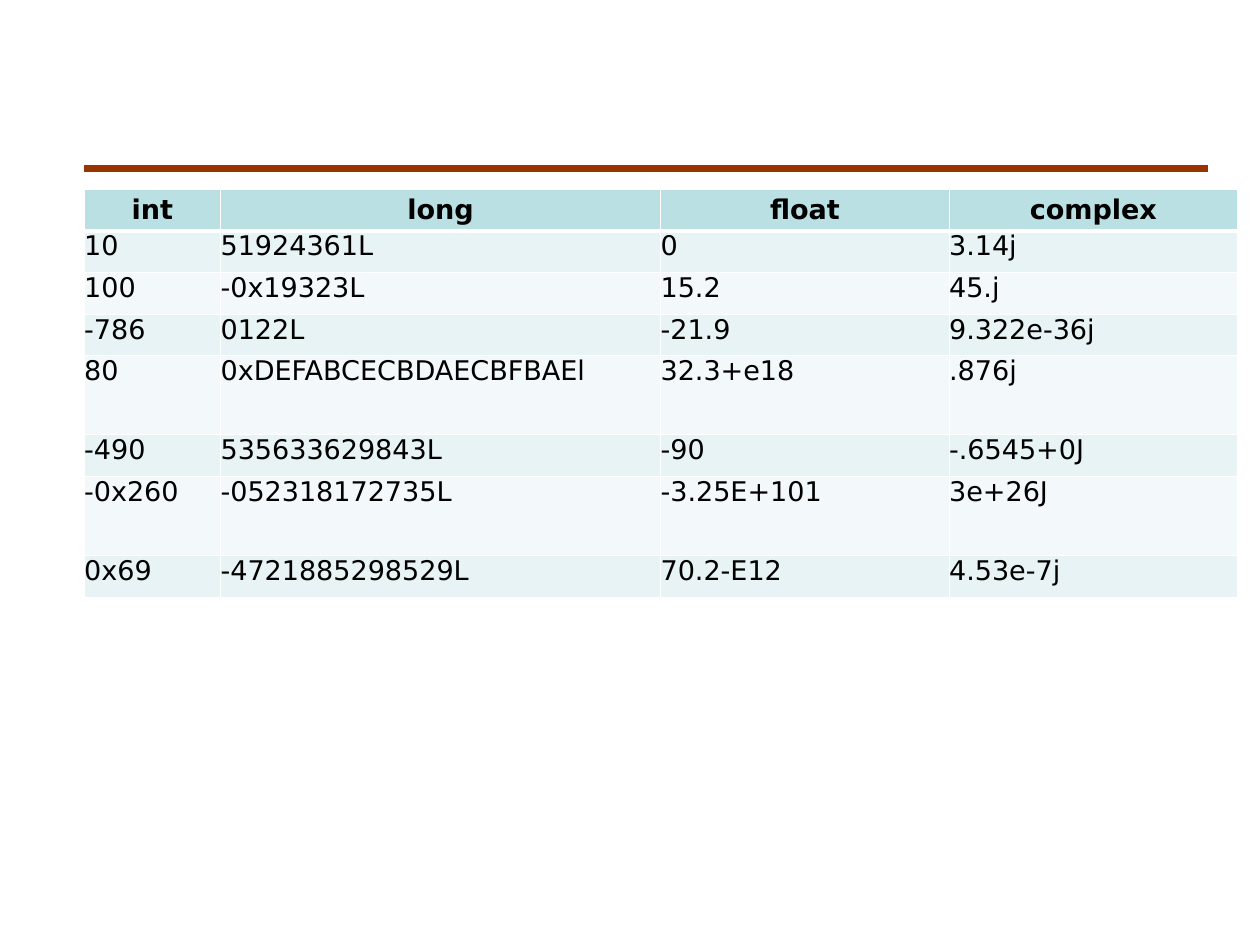
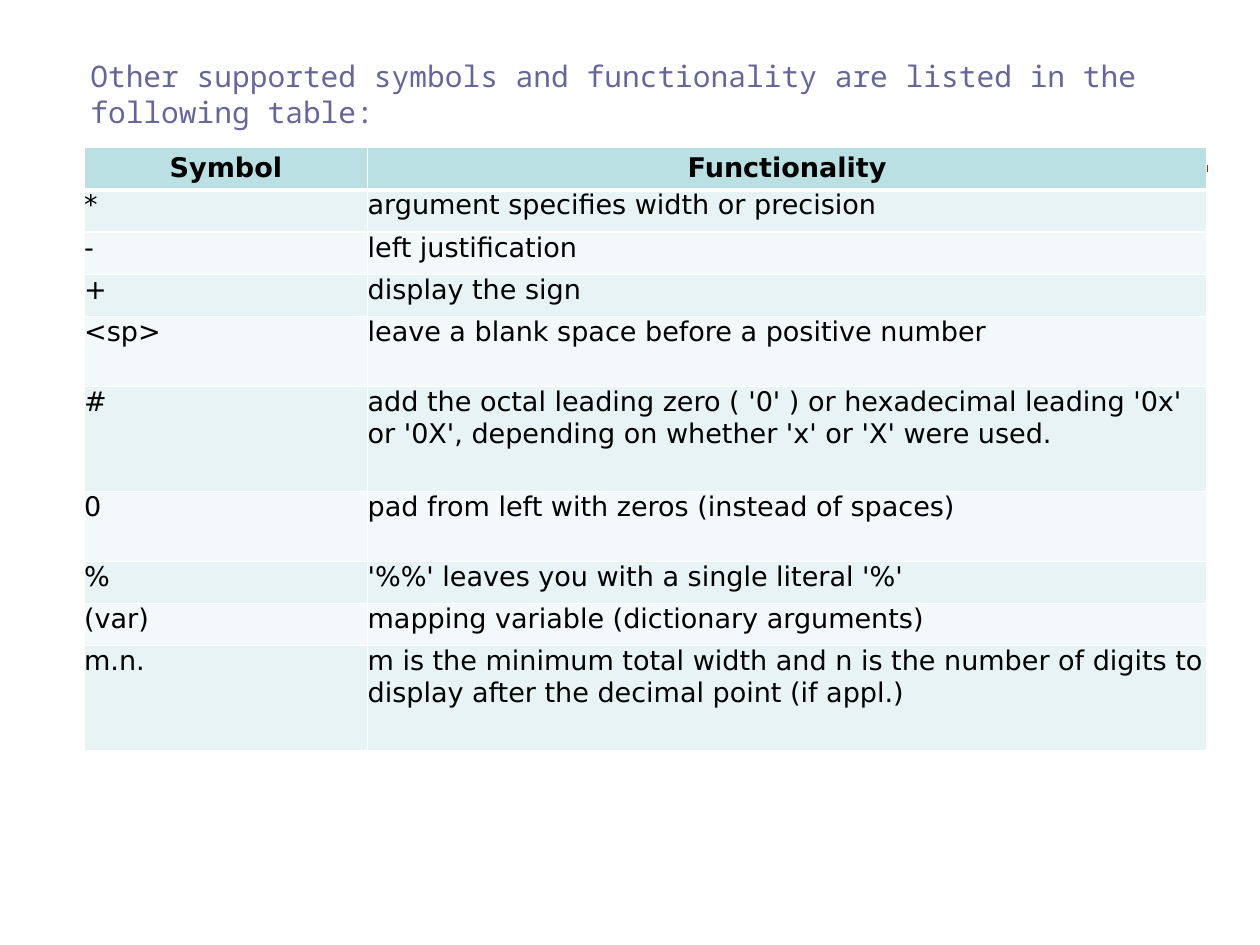
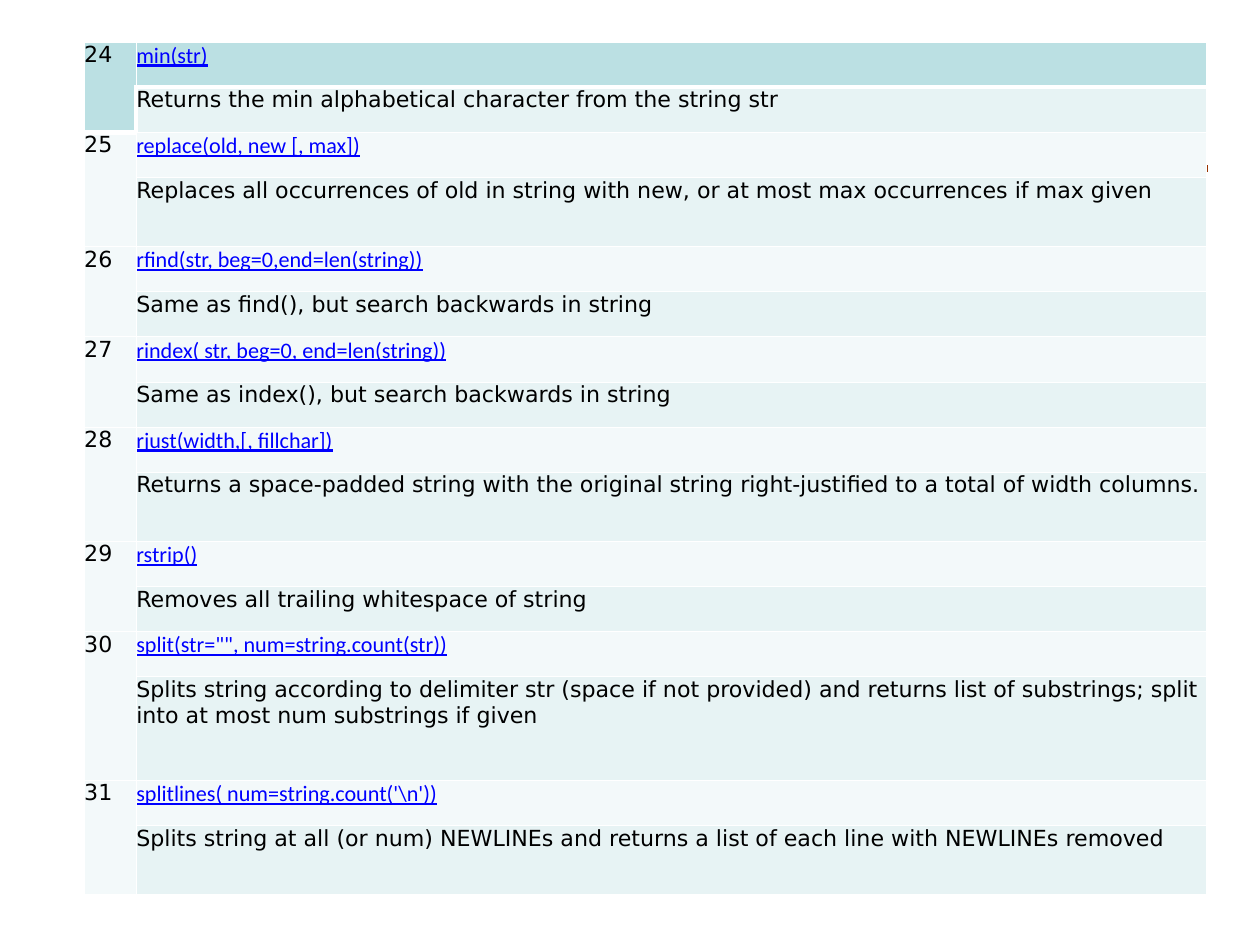
import dataclasses

import lxml.etree
import pptx
import pptx.dml.color
import pptx.enum.shapes
import pptx.enum.text
import pptx.oxml
import pptx.oxml.ns
import pptx.util

Pt = pptx.util.Pt
RGB = pptx.dml.color.RGBColor.from_string
qn = pptx.oxml.ns.qn


@dataclasses.dataclass(frozen=True)
class Theme:
    """Colours, fonts and sizes shared by the slides."""
    rule: str = "993300"
    title: str = "666699"
    text: str = "000000"
    link: str = "0000FF"
    edge: str = "FFFFFF"
    head: str = "BBE0E3"
    bands: tuple = ("F3F9FA", "E7F3F4")
    sans: str = "DejaVu Sans"
    mono: str = "Noto Sans Mono"
    link_font: str = "Calibri"
    title_size: int = 24
    cell_size: int = 22
    list_size: int = 18
    thin: int = 1
    thick: int = 4
    left: float = 68.4
    width: float = 913


theme = Theme()


def set_edges(cell, **wide):
    """Draw the four cell borders; thin unless a width is given for a side."""
    props = cell._tc.get_or_add_tcPr()
    for side in "LRTB":
        line = lxml.etree.SubElement(props, qn(f"a:ln{side}"))
        line.set("w", str(Pt(wide.get(side, theme.thin))))
        fill = lxml.etree.SubElement(line, qn("a:solidFill"))
        lxml.etree.SubElement(fill, qn("a:srgbClr")).set("val", theme.edge)


def add_grid(slide, top, cols, highs, data, size, listed=False):
    """Add a banded table; None in the data joins a cell to the one above."""
    table = slide.shapes.add_table(
        len(highs), len(cols), Pt(theme.left), Pt(top),
        Pt(sum(cols)), Pt(sum(highs))).table
    for col, wide in zip(table.columns, cols):
        col.width = Pt(wide)
    for row, high in zip(table.rows, highs):
        row.height = Pt(high)
    for r, line in enumerate(data):
        for c, text in enumerate(line):
            if text is None:
                table.cell(r - 1, c).merge(table.cell(r, c))
    for r, line in enumerate(data):
        for c, text in enumerate(line):
            if text is None:
                continue
            cell = table.cell(r, c)
            wide = {}
            if r == 0:
                wide["B"] = theme.thick
            elif r == 1 or (r == 2 and data[1][c] is None):
                wide["T"] = theme.thick
            if r == 1 and data[1][0] is None:
                wide["L"] = theme.thick
            set_edges(cell, **wide)
            cell.fill.solid()
            cell.fill.fore_color.rgb = RGB(theme.bands[r % 2] if r else theme.head)
            cell.margin_left = cell.margin_right = 0
            cell.margin_top = cell.margin_bottom = 0
            para = cell.text_frame.paragraphs[0]
            run = para.add_run()
            run.text = text
            head = r == 0 and not listed
            if head:
                cell.vertical_anchor = pptx.enum.text.MSO_ANCHOR.MIDDLE
                para.alignment = pptx.enum.text.PP_ALIGN.CENTER
            link = listed and c == 1 and r % 2 == 0
            run.font.name = theme.link_font if link else theme.sans
            run.font.color.rgb = RGB(theme.link if link else theme.text)
            run.font.underline = link
            run.font.size = Pt(size)
            run.font.bold = head


deck = pptx.Presentation()
deck.slide_width, deck.slide_height = Pt(1024), Pt(768)
plain, titled = deck.slide_layouts[6], deck.slide_layouts[5]

# Number types
slide = deck.slides.add_slide(plain)

# The rule is drawn once and moved to the master
rule = slide.shapes.add_connector(
    pptx.enum.shapes.MSO_CONNECTOR.STRAIGHT,
    Pt(theme.left), Pt(136.8), Pt(theme.left + theme.width), Pt(136.8))
rule.line.color.rgb = RGB(theme.rule)
rule.line.width = Pt(6)
lxml.etree.SubElement(rule.element.spPr, qn("a:effectLst"))
rule.element.nvCxnSpPr.cNvPr.set("id", "99")
deck.slide_master.shapes.element.append(rule.element)

low, high = 33.9, 64.2
add_grid(slide, 153.6, [110.9, 357.6, 234.5, 234.5],
         [low, low, low, low, high, low, high, low], [
    ("int", "long", "float", "complex"),
    ("10", "51924361L", "0", "3.14j"),
    ("100", "-0x19323L", "15.2", "45.j"),
    ("-786", "0122L", "-21.9", "9.322e-36j"),
    ("80", "0xDEFABCECBDAECBFBAEl", "32.3+e18", ".876j"),
    ("-490", "535633629843L", "-90", "-.6545+0J"),
    ("-0x260", "-052318172735L", "-3.25E+101", "3e+26J"),
    ("0x69", "-4721885298529L", "70.2-E12", "4.53e-7j"),
], theme.cell_size)

# Format symbols
slide = deck.slides.add_slide(titled)
title = slide.shapes.title
title.left, title.top = Pt(theme.left), Pt(42.5)
title.width, title.height = Pt(theme.width), Pt(128)
frame = title.text_frame
frame.word_wrap = True
frame.auto_size = pptx.enum.text.MSO_AUTO_SIZE.NONE
frame.vertical_anchor = pptx.enum.text.MSO_ANCHOR.TOP
frame.margin_left = frame.margin_right = Pt(5)
frame.margin_top = frame.margin_bottom = Pt(5)
para = frame.paragraphs[0]
para.alignment = pptx.enum.text.PP_ALIGN.LEFT
run = para.add_run()
run.text = ("Other supported symbols and functionality are listed "
            "in the following table:")
run.font.name = theme.mono
run.font.size = Pt(theme.title_size)
run.font.color.rgb = RGB(theme.title)

low, mid, high = 34.4, 56.9, 84.9
add_grid(slide, 119.8, [230.4, 681.8],
         [low, low, low, low, mid, high, mid, low, low, high], [
    ("Symbol", "Functionality"),
    ("*", "argument specifies width or precision"),
    ("-", "left justification"),
    ("+", "display the sign"),
    ("<sp>", "leave a blank space before a positive number"),
    ("#", "add the octal leading zero ( '0' ) or hexadecimal leading '0x' "
          "or '0X', depending on whether 'x' or 'X' were used."),
    ("0", "pad from left with zeros (instead of spaces)"),
    ("%", "'%%' leaves you with a single literal '%'"),
    ("(var)", "mapping variable (dictionary arguments)"),
    ("m.n.", "m is the minimum total width and n is the number of digits to "
             "display after the decimal point (if appl.)"),
], theme.cell_size)

# String methods: call, height of its meaning, meaning
slide = deck.slides.add_slide(plain)
low, mid, high = 36.7, 56.2, 84.2
calls = [
    ("min(str)", low,
     "Returns the min alphabetical character from the string str"),
    ("replace(old, new [, max])", mid,
     "Replaces all occurrences of old in string with new, "
     "or at most max occurrences if max given"),
    ("rfind(str, beg=0,end=len(string))", low,
     "Same as find(), but search backwards in string"),
    ("rindex( str, beg=0, end=len(string))", low,
     "Same as index(), but search backwards in string"),
    ("rjust(width,[, fillchar])", mid,
     "Returns a space-padded string with the original string "
     "right-justified to a total of width columns."),
    ("rstrip()", low, "Removes all trailing whitespace of string"),
    ('split(str="", num=string.count(str))', high,
     "Splits string according to delimiter str (space if not provided) and "
     "returns list of substrings; split into at most num substrings if given"),
    ("splitlines( num=string.count('\\n'))", mid,
     "Splits string at all (or num) NEWLINEs and returns a list of each line "
     "with NEWLINEs removed"),
]
data, highs = [], []
for num, (call, tall, text) in enumerate(calls, 24):
    data += [(str(num), call), (None, text)]
    highs += [low, tall]
add_grid(slide, 34.2, [42.4, 869.8], highs, data, theme.list_size, listed=True)

deck.save("out.pptx")
